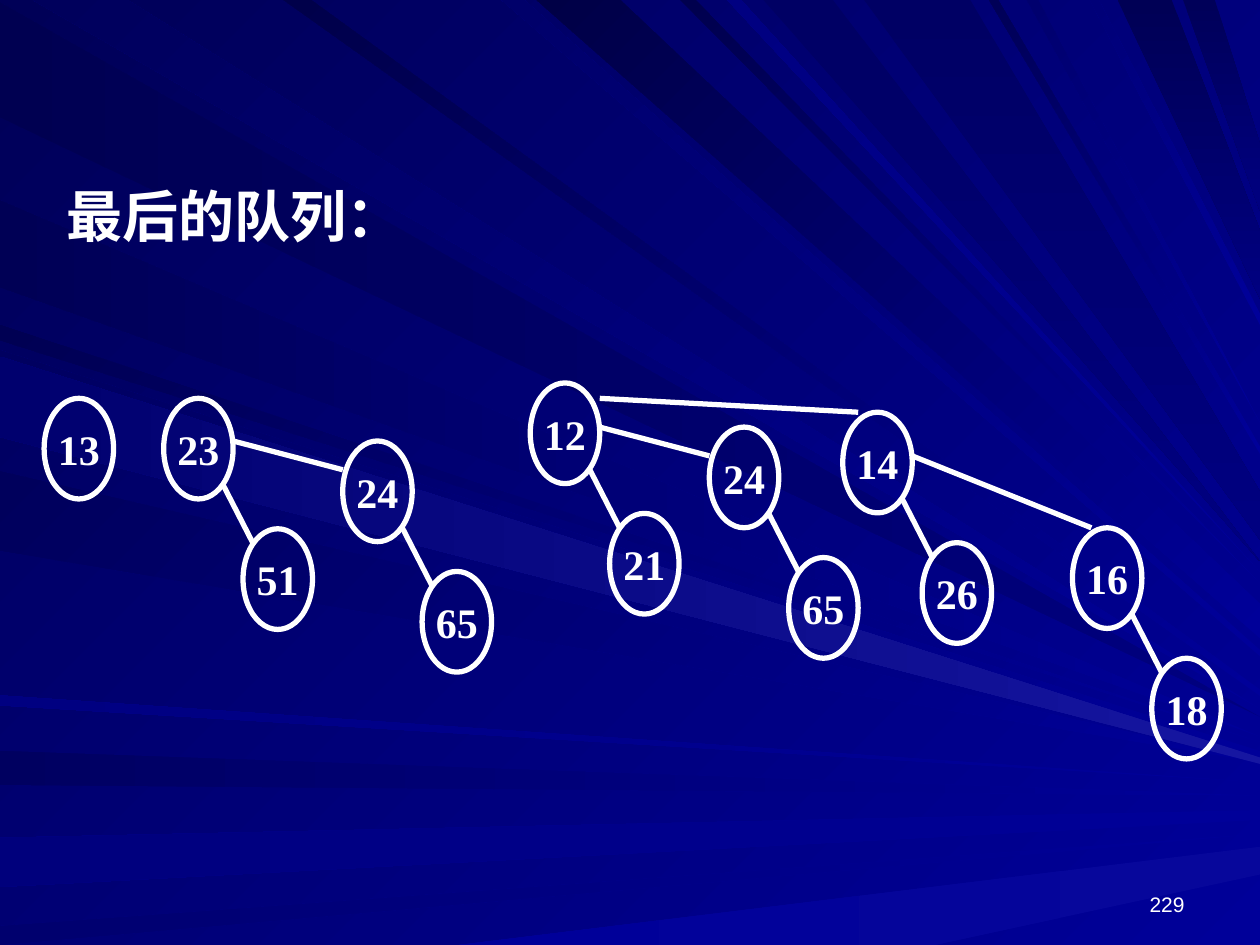
from lxml.etree import SubElement
from pptx import Presentation
from pptx.dml.color import RGBColor
from pptx.enum.shapes import MSO_CONNECTOR, MSO_SHAPE
from pptx.enum.text import MSO_ANCHOR, MSO_AUTO_SIZE, PP_ALIGN
from pptx.oxml.ns import qn
from pptx.util import Cm, Pt

WHITE = "FFFFFF"
SERIF = "Times New Roman"
SLIDE_WIDTH, SLIDE_HEIGHT = 25.4, 19.05
NODE_WIDTH, NODE_HEIGHT = 1.4, 2.03
CHILD_OFFSET = (1.6, 2.63)
EDGE_START, EDGE_END = (1.2, 1.75), (1.8, 2.92)
DOWNWARD, LEFTWARD, DIAGONAL = 90, 180, 225

RAYS = [
    ("000080", "000051", LEFTWARD, 0.05, 2.36, 14.45),
    ("000099", "00005C", DIAGONAL, -2.57, -0.66, 14.29),
    ("000099", "000060", LEFTWARD, 15.14, 15.82, 16.04),
    ("000099", "00007C", LEFTWARD, 16.89, 17.88, 16.33, 0.2),
    ("000099", "00006E", LEFTWARD, 18.67, 19.05, 16.81),
    ("07079B", "000099", LEFTWARD, 28.3, 37.9, 17.07, 0.56),
    ("000099", "000053", DIAGONAL, 6.55, 6.86, 14.96),
    ("000099", "000055", LEFTWARD, 4.04, 5.79, 14.85),
    ("000099", "00006A", DIAGONAL, -10.57, -10.11, 13.1, 0.13),
    ("000099", "000046", DIAGONAL, -12.5, -10.82, 12.17, 0.7),
    ("000099", "00004E", DIAGONAL, -14.02, -13.72, 11.76),
    ("000064", "000080", DOWNWARD, -16.79, -15.39, 11.32),
    ("000055", "000080", DOWNWARD, -23.62, -22.53, 4.65, 1.37),
    ("000059", "000080", DOWNWARD, -24.49, -23.85, 2.9, 1.35),
    ("000099", "000060", DIAGONAL, 7.06, 8.69, 15.14, 0.15),
    ("000099", "00005C", DIAGONAL, 9.5, 11.1, 15.37),
    ("000099", "000081", LEFTWARD, 14.02, 14.22, 15.77),
    ("000099", "00004A", DIAGONAL, -6.27, -5.72, 13.9, 0.13),
    ("000099", "000081", DIAGONAL, -14.94, -14.66, 11.53),
    ("000064", "000080", DOWNWARD, -19.56, -17.42, 9.91, 0.97),
    ("000099", "000057", DIAGONAL, -20.12, -19.94, 9, 0.15),
    ("000099", "00006E", DIAGONAL, -20.93, -20.7, 8.52),
    ("000099", "000078", DIAGONAL, -22.15, -21.97, 6.32, 0.23),
    ("1616A1", "00006E", LEFTWARD, 7.19, 8.81, 15.27, 0.13),
]

PAIRS = [
    ("23", "51", 3.3, 8.03),
    ("24", "65", 6.91, 8.89),
    ("12", "21", 10.69, 7.72),
    ("24", "65", 14.3, 8.61),
    ("14", "26", 16.99, 8.31),
    ("16", "18", 21.62, 10.64),
]

TREE_LINKS = [
    ((4.7, 8.89), (6.91, 9.47)),
    ((12.09, 8.61), (14.3, 9.19)),
    ((18.39, 9.19), (22, 10.64)),
    ((12.09, 8.03), (17.3, 8.31)),
]


def color(value):
    return RGBColor.from_string(value)


def paint_gradient(fill, start, end, angle):
    fill.gradient()
    fill.gradient_angle = 360 - angle
    for stop, value in zip(fill.gradient_stops, (start, end)):
        stop.color.rgb = color(value)


def border_point(distance):
    if distance < 0:
        return Cm(-distance), 0
    if distance > SLIDE_HEIGHT:
        return Cm(distance - SLIDE_HEIGHT), Cm(SLIDE_HEIGHT)
    return 0, Cm(distance)


def add_ray(shapes, start, end, angle, far_upper, far_lower, near_top, spread=0):
    builder = shapes.build_freeform(*border_point(far_upper))
    builder.add_line_segments([
        border_point(far_lower),
        (Cm(SLIDE_WIDTH), Cm(near_top + spread)),
        (Cm(SLIDE_WIDTH), Cm(near_top)),
    ], close=True)
    shape = builder.convert_to_shape()
    shape.shadow.inherit = False
    shape.line.fill.background()
    paint_gradient(shape.fill, start, end, angle)


def write_text(shape, text, size, alignment, anchor, font=SERIF, bold=True):
    frame = shape.text_frame
    frame.vertical_anchor = anchor
    frame.margin_left = frame.margin_right = Cm(0.25)
    frame.margin_top = frame.margin_bottom = Cm(0.13)
    paragraph = frame.paragraphs[0]
    paragraph.alignment = alignment
    run = paragraph.add_run()
    run.text = text
    run.font.name = font
    run.font.size = Pt(size)
    run.font.bold = bold
    run.font.color.rgb = color(WHITE)
    return frame


def add_node(shapes, text, left, top):
    shape = shapes.add_shape(
        MSO_SHAPE.OVAL, Cm(left), Cm(top), Cm(NODE_WIDTH), Cm(NODE_HEIGHT))
    shape.shadow.inherit = False
    shape.fill.background()
    shape.line.color.rgb = color(WHITE)
    shape.line.width = Pt(3)
    frame = write_text(shape, text, 24, PP_ALIGN.CENTER, MSO_ANCHOR.MIDDLE)
    frame.word_wrap = False


def add_edge(shapes, start, end):
    points = [Cm(value) for value in (*start, *end)]
    connector = shapes.add_connector(MSO_CONNECTOR.STRAIGHT, *points)
    connector.line.color.rgb = color(WHITE)
    connector.line.width = Pt(3)
    SubElement(connector._element.spPr, qn("a:effectLst"))


def add_pair(shapes, parent, child, left, top):
    def shifted(offset):
        return left + offset[0], top + offset[1]

    add_node(shapes, parent, left, top)
    add_node(shapes, child, *shifted(CHILD_OFFSET))
    add_edge(shapes, shifted(EDGE_START), shifted(EDGE_END))


def format_title(title):
    title.left, title.top = Cm(1.09), Cm(3.53)
    title.width, title.height = Cm(11), Cm(1.63)
    frame = write_text(title, "最后的队列：", 32, PP_ALIGN.LEFT, MSO_ANCHOR.TOP)
    frame.word_wrap = True
    frame.auto_size = MSO_AUTO_SIZE.SHAPE_TO_FIT_TEXT


def add_slide_number(shapes):
    box = shapes.add_textbox(Cm(18.21), Cm(17.35), Cm(5.92), Cm(1.27))
    frame = write_text(box, "229", 12, PP_ALIGN.RIGHT, MSO_ANCHOR.BOTTOM, "Arial", False)
    frame.word_wrap = True


def main():
    presentation = Presentation()
    presentation.slide_width = Cm(SLIDE_WIDTH)
    presentation.slide_height = Cm(SLIDE_HEIGHT)
    slide = presentation.slides.add_slide(presentation.slide_layouts[5])
    paint_gradient(slide.background.fill, "000099", "000057", DIAGONAL)

    rays = slide.shapes.add_group_shape().shapes
    for ray in RAYS:
        add_ray(rays, *ray)

    title = slide.shapes.title
    format_title(title)
    slide.shapes._spTree.append(title._element)

    forest = slide.shapes.add_group_shape().shapes
    add_node(forest, "13", 0.89, 8.03)
    for pair in PAIRS:
        add_pair(forest, *pair)
    for start, end in TREE_LINKS:
        add_edge(forest, start, end)

    add_slide_number(slide.shapes)
    presentation.save("out.pptx")


if __name__ == "__main__":
    main()
